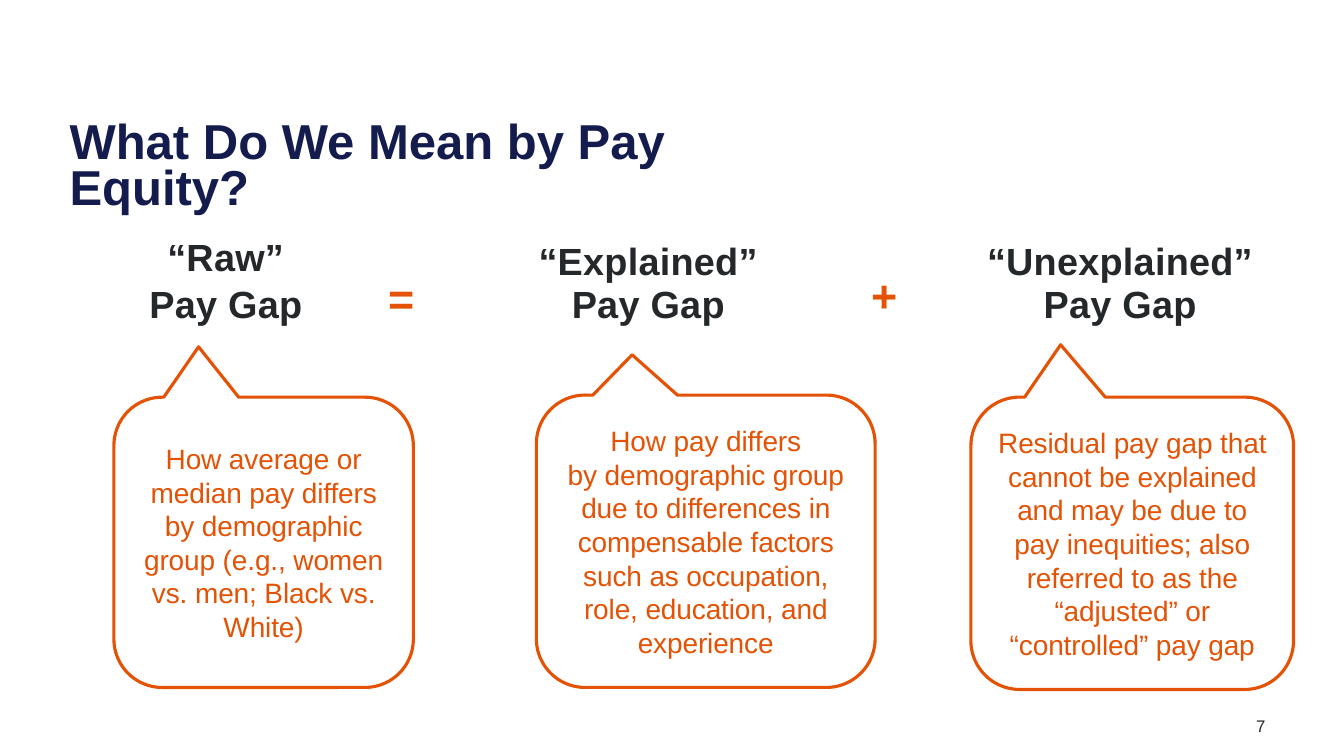
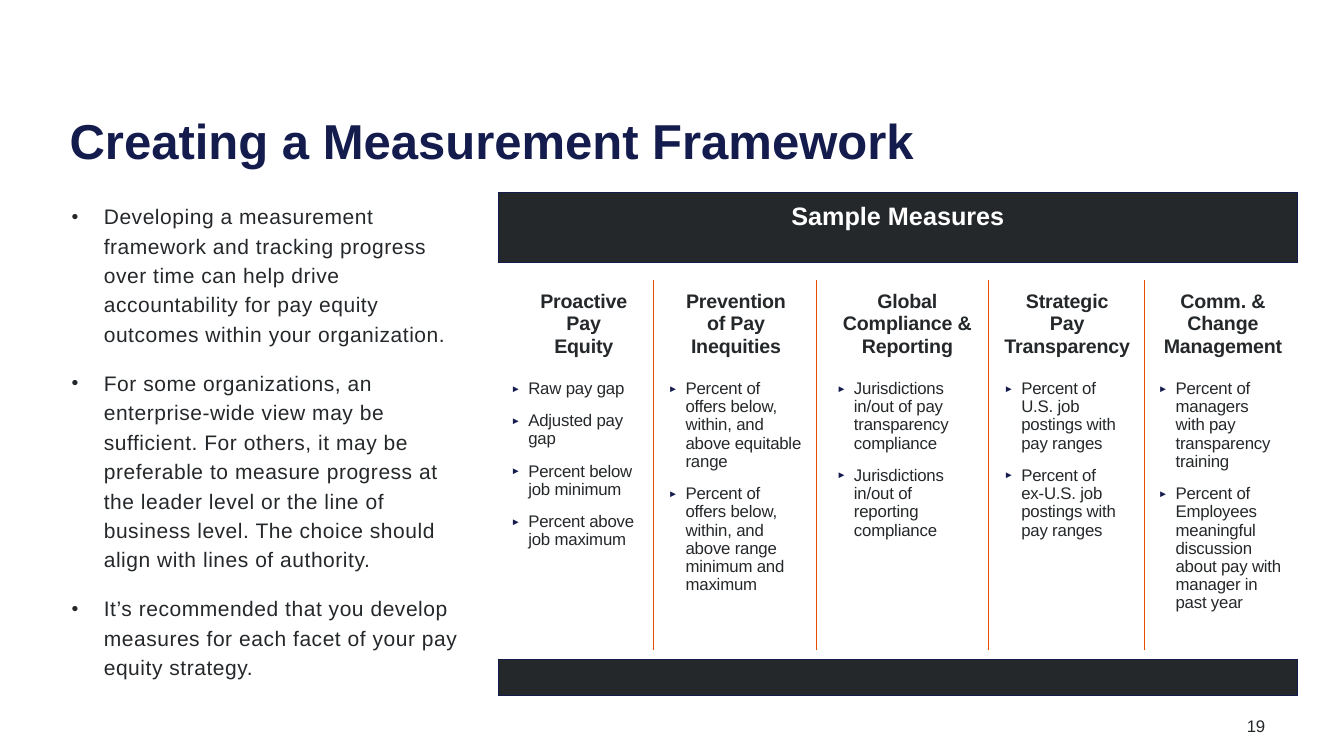
import pptx
import pptx.util
import pptx.dml.color
import pptx.enum.shapes
import pptx.enum.text
import pptx.oxml.ns
from lxml import etree

Inches, Pt = pptx.util.Inches, pptx.util.Pt
ALIGN = pptx.enum.text.PP_ALIGN
ANCHOR = pptx.enum.text.MSO_ANCHOR
SHAPES = pptx.enum.shapes.MSO_SHAPE
PLAIN_TABLE = "{2D5ABB26-0587-4C30-8999-92F81FD0307C}"

COLORS = {
    "navy": "141B4D",
    "dark": "25282A",
    "orange": "E35205",
    "rule": "E34E00",
    "white": "FFFFFF",
}

# spc is letter spacing and line is line height, both in points
STYLES = {
    "title": dict(size=35, bold=True, color="navy", line=33.5),
    "term": dict(size=27, bold=True, align=ALIGN.CENTER, spc=0.2),
    "sign": dict(size=32, bold=True, color="orange", align=ALIGN.CENTER),
    "callout": dict(size=20, color="orange", align=ALIGN.CENTER, spc=-0.1, line=24),
    "page": dict(size=12, align=ALIGN.RIGHT, spc=-0.2),
    "points": dict(size=15, spc=0.4, line=21, before=14,
                   bullet=dict(char="•", indent=0.32, color="dark", percent=93)),
    "band": dict(size=18, bold=True, color="white", align=ALIGN.CENTER),
    "heading": dict(size=14, bold=True, align=ALIGN.CENTER, spc=-0.15, line=16, after=6),
    "measures": dict(size=12, spc=-0.15, line=13, before=10,
                     bullet=dict(char="►", indent=0.17, color="navy", percent=58)),
}

# term, its centre and line height; callout box and tip, in inches
PAY_GAPS = [
    ("“Raw”\vPay Gap", 2.24, 34, (1.13, 3.94, 2.97, 2.88), (1.97, 3.44),
     "How average or median pay differs by demographic group "
     "(e.g., women vs. men; Black vs. White)"),
    ("“Explained”\vPay Gap", 6.43, 31, (5.32, 3.92, 3.36, 2.9), (6.27, 3.52),
     "How pay differs\vby demographic group due to differences in "
     "compensable factors such as occupation, role, education, and experience"),
    ("“Unexplained”\vPay Gap", 11.11, 31, (9.63, 3.94, 3.2, 2.9), (10.52, 3.42),
     "Residual pay gap that cannot be explained and may be due to\vpay "
     "inequities; also referred to as the “adjusted” or “controlled” pay gap"),
]
# sign, centre, top
SIGNS = [("=", 3.98, 2.69), ("+", 8.77, 2.66)]

POINTS = [
    "Developing a measurement framework and tracking progress over time can "
    "help drive accountability for pay equity outcomes within your organization.",
    "For some organizations, an enterprise-wide view may be sufficient. For "
    "others, it may be preferable to measure progress at the leader level or the "
    "line of\vbusiness level. The choice should align with lines of authority.",
    "It’s recommended that you develop measures for each facet of your pay "
    "equity strategy.",
]

# heading and its left indent, measures and their left indent
PROACTIVE = (
    "Proactive\vPay\vEquity", 0.11,
    ["Raw pay gap", "Adjusted pay\vgap", "Percent below\vjob minimum",
     "Percent above\vjob maximum"], 0)
PREVENTION = (
    "Prevention\vof Pay\vInequities", 0.02,
    ["Percent of\voffers below,\vwithin, and\vabove equitable\vrange",
     "Percent of\voffers below,\vwithin, and\vabove range\vminimum and\vmaximum"], 0.15)
COMPLIANCE = (
    "Global\vCompliance &\vReporting", 0.1,
    ["Jurisdictions\vin/out of pay\vtransparency\vcompliance",
     "Jurisdictions\vin/out of\vreporting\vcompliance"], 0.2)
TRANSPARENCY = (
    "Strategic\vPay\vTransparency", 0.02,
    ["Percent of\vU.S. job\vpostings with\vpay ranges",
     "Percent of\vex-U.S. job\vpostings with\vpay ranges"], 0.16)
CHANGE = (
    "Comm. &\vChange\vManagement", 0.1,
    ["Percent of\vmanagers\vwith pay\vtransparency\vtraining",
     "Percent of\vEmployees\vmeaningful\vdiscussion\vabout pay with\vmanager in\vpast year"],
    0.07)


def rgb(name):
    return pptx.dml.color.RGBColor.from_string(COLORS[name])


def sub(parent, tag, **attrs):
    return etree.SubElement(parent, pptx.oxml.ns.qn(tag), attrs)


def set_bullet(p, left, char, indent, color, percent):
    pPr = p._p.get_or_add_pPr()
    pPr.set("marL", str(Inches(left + indent)))
    pPr.set("indent", str(-Inches(indent)))
    sub(sub(pPr, "a:buClr"), "a:srgbClr", val=COLORS[color])
    sub(pPr, "a:buSzPct", val=str(percent * 1000))
    sub(pPr, "a:buFont", typeface="Arial")
    sub(pPr, "a:buChar", char=char)


def write(tf, paragraphs, style, left=0, **changes):
    """Add paragraphs to a text frame in a named style; \\v breaks a line."""
    look = {**STYLES[style], **changes}
    font = {"name": "Arial", "size": Pt(look["size"]), "bold": look.get("bold", False)}
    tf.word_wrap = True
    for text in paragraphs:
        first = not tf.text
        p = tf.paragraphs[0] if first else tf.add_paragraph()
        p.text = text
        if "bullet" in look:
            set_bullet(p, left, **look["bullet"])
        elif left:
            p._p.get_or_add_pPr().set("marL", str(Inches(left)))
        p.alignment = look.get("align", ALIGN.LEFT)
        spacing = {"line_spacing": "line", "space_after": "after"}
        if not first:
            spacing["space_before"] = "before"
        for name, key in spacing.items():
            if key in look:
                setattr(p, name, Pt(look[key]))
        for r in p.runs:
            for name, value in font.items():
                setattr(r.font, name, value)
            r.font.color.rgb = rgb(look.get("color", "dark"))
            r._r.get_or_add_rPr().set("spc", str(round(look.get("spc", 0) * 100)))


def set_margins(target, left=0, top=0, right=0, bottom=0):
    sides = dict(left=left, top=top, right=right, bottom=bottom)
    for side, value in sides.items():
        setattr(target, "margin_" + side, Inches(value))


def add_text(s, box, paragraphs, style, anchor=ANCHOR.TOP, **changes):
    tf = s.shapes.add_textbox(*map(Inches, box)).text_frame
    set_margins(tf)
    tf.vertical_anchor = anchor
    write(tf, paragraphs, style, **changes)


def add_base(prs, title, title_width, page):
    """Blank slide with the shared title and page number."""
    s = prs.slides.add_slide(prs.slide_layouts[6])
    add_text(s, (0.69, 1.21, title_width, 0.5), [title], "title")
    add_text(s, (11.95, 7.1, 0.6, 0.2), [page], "page")
    return s


def add_callout(s, box, tip, text):
    sp = s.shapes.add_shape(SHAPES.ROUNDED_RECTANGULAR_CALLOUT, *map(Inches, box))
    sp.shadow.inherit = False
    sp.fill.background()
    sp.line.color.rgb = rgb("orange")
    sp.line.width = Pt(2.25)
    left, top, width, height = box
    sp.adjustments[0] = (tip[0] - left) / width - 0.5
    sp.adjustments[1] = (tip[1] - top) / height - 0.5
    tf = sp.text_frame
    set_margins(tf, left=0.1, right=0.1)
    tf.vertical_anchor = ANCHOR.MIDDLE
    write(tf, [text], "callout")


def add_row_table(s, left, top, widths, height):
    """One-row table without a style; returns its cells."""
    box = (left, top, sum(widths), height)
    table = s.shapes.add_table(1, len(widths), *map(Inches, box)).table
    table.first_row = table.horz_banding = False
    table._tbl.tblPr[0].text = PLAIN_TABLE
    for column, width in zip(table.columns, widths):
        column.width = Inches(width)
    cells = list(table.iter_cells())
    for cell in cells:
        set_margins(cell, top=0.1 if height > 0.5 else 0)
    return cells


def add_borders(cell, sides, color):
    for side in sides:
        ln = sub(cell._tc.get_or_add_tcPr(), "a:ln" + side, w=str(Pt(0.75)))
        sub(sub(ln, "a:solidFill"), "a:srgbClr", val=COLORS[color])


def add_band(s, top, height, label=None):
    cell, = add_row_table(s, 4.94, top, [7.93], height)
    add_borders(cell, "LRTB", "navy")
    cell.fill.solid()
    cell.fill.fore_color.rgb = rgb("dark")
    if label:
        write(cell.text_frame, [label], "band")


def add_measures(s, left, widths, columns, borders=""):
    """Table of measures; a column of None stays empty."""
    for cell, column in zip(add_row_table(s, left, 2.78, widths, 3.67), columns):
        add_borders(cell, borders, "rule")
        cell.fill.background()
        if column:
            heading, heading_left, measures, measures_left = column
            write(cell.text_frame, [heading], "heading", heading_left)
            write(cell.text_frame, measures, "measures", measures_left)


def add_pay_equity(prs):
    s = add_base(prs, "What Do We Mean by Pay Equity?", 7.5, "7")
    for term, center, line, box, tip, text in PAY_GAPS:
        add_text(s, (center - 1.5, 2.34, 3, 0.9), [term], "term",
                 anchor=ANCHOR.BOTTOM, line=line)
        add_callout(s, box, tip, text)
    for sign, center, top in SIGNS:
        add_text(s, (center - 0.25, top, 0.5, 0.5), [sign], "sign")


def add_framework(prs):
    s = add_base(prs, "Creating a Measurement Framework", 8.8, "19")
    add_text(s, (0.71, 1.98, 3.95, 4.8), POINTS, "points")
    add_measures(s, 5.07, [1.33, 5.02, 1.32], [PROACTIVE, None, CHANGE])
    add_measures(s, 6.48, [1.62, 1.7, 1.55],
                 [PREVENTION, COMPLIANCE, TRANSPARENCY], borders="LR")
    add_band(s, 1.91, 0.69, "Sample Measures")
    add_band(s, 6.54, 0.36)


def main():
    prs = pptx.Presentation()
    prs.slide_width, prs.slide_height = Inches(13.33), Inches(7.5)
    add_pay_equity(prs)
    add_framework(prs)
    prs.save("out.pptx")


if __name__ == "__main__":
    main()
